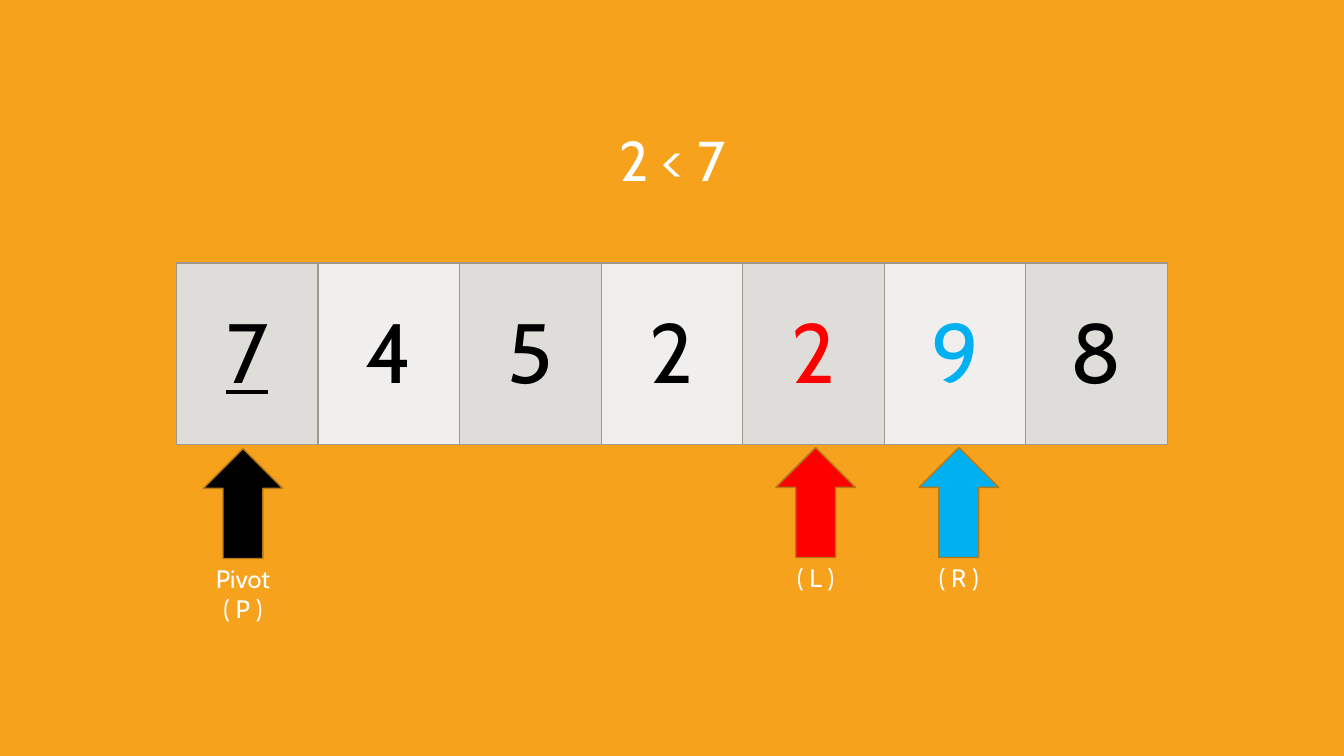
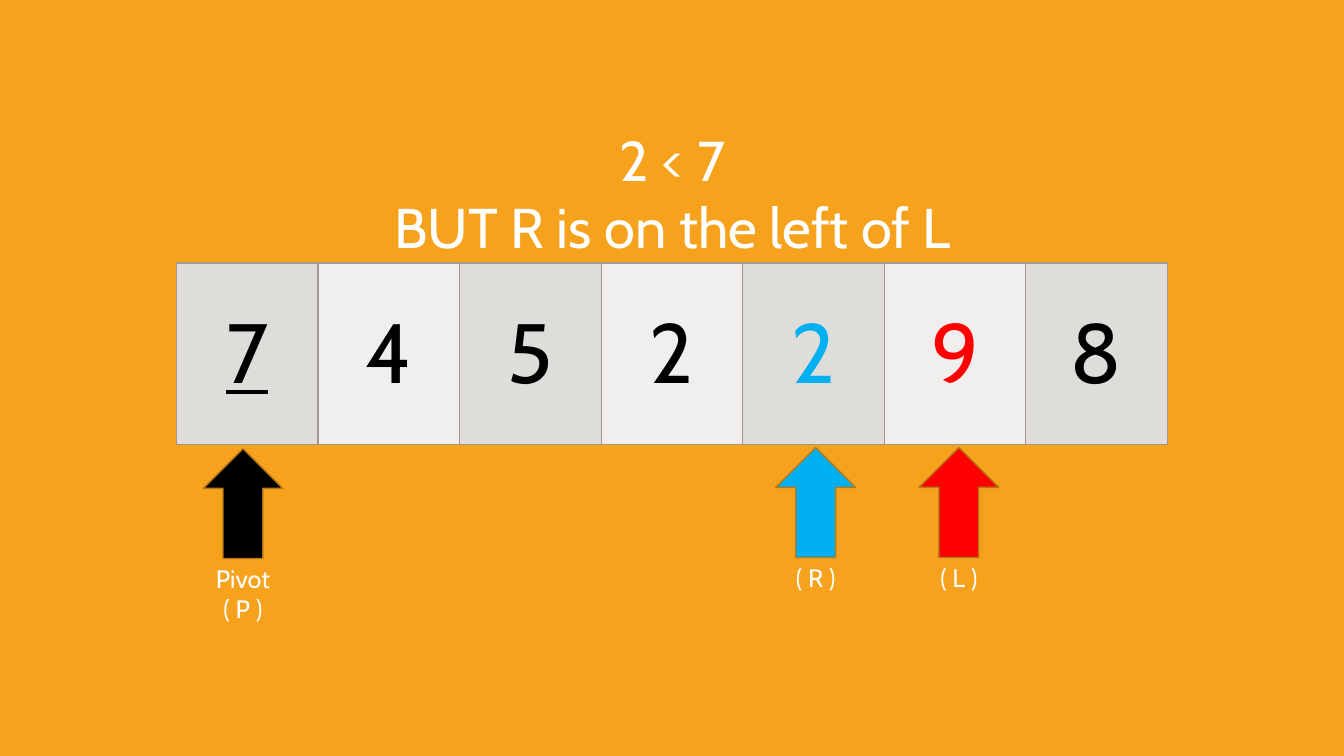
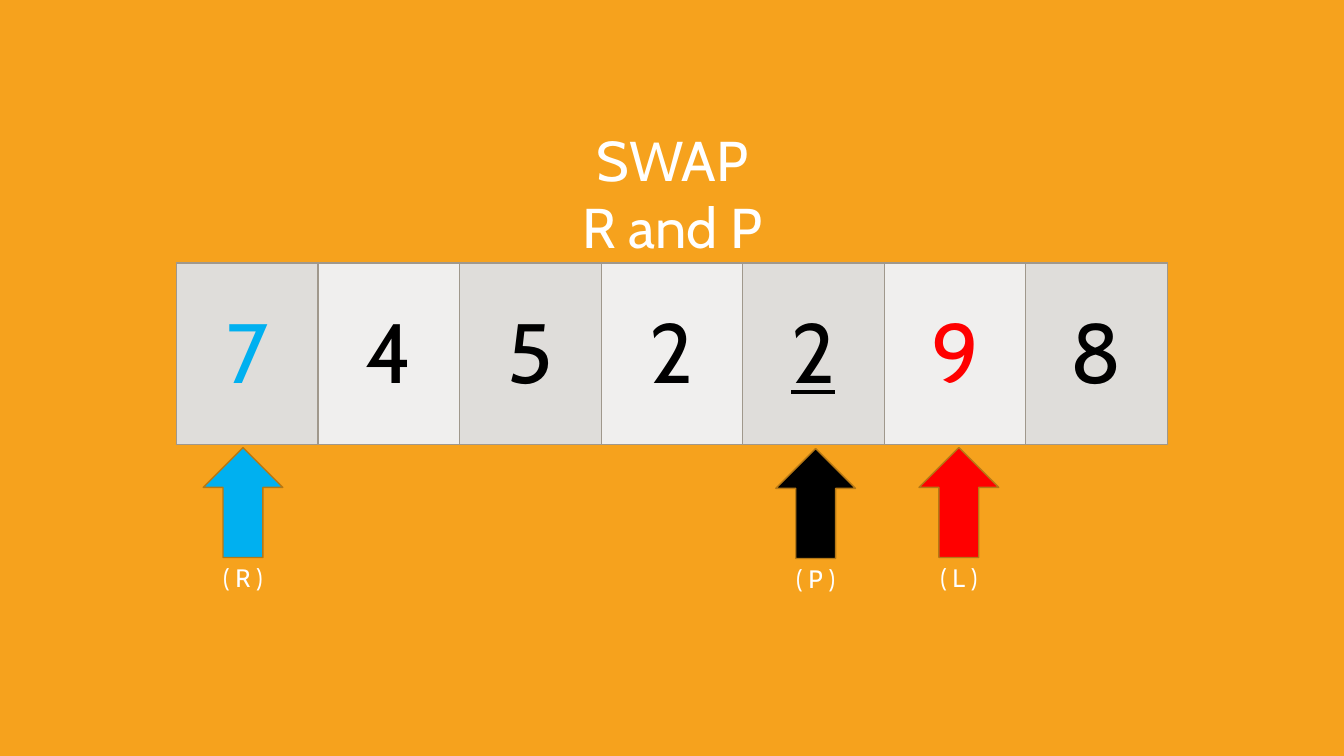
from lxml import etree
from pptx import Presentation
from pptx.dml.color import RGBColor
from pptx.enum.shapes import MSO_SHAPE
from pptx.enum.text import MSO_ANCHOR, MSO_AUTO_SIZE, PP_ALIGN
from pptx.oxml.ns import qn
from pptx.util import Inches, Pt

UP_ARROW = MSO_SHAPE.UP_ARROW
TOP = MSO_ANCHOR.TOP
MIDDLE = MSO_ANCHOR.MIDDLE
FIXED_SIZE = MSO_AUTO_SIZE.NONE
GROW_TO_TEXT = MSO_AUTO_SIZE.SHAPE_TO_FIT_TEXT
CENTER = PP_ALIGN.CENTER

FONT = "Cabin"
ORANGE = "F6A21D"
WHITE = "FFFFFF"
BLACK = "000000"
CELL_FILLS = ("DFDDDA", "F0EFEE")
CELL_BORDER = "A0988C"
ARROW_BORDER = "B67815"
POINTER_COLORS = {"P": BLACK, "L": "FF0000", "R": "00B0F0"}
POINTER_TOPS = {"P": 4.45, "L": 4.44, "R": 4.44}

HEADING_BOX = (2.95, 1.19, 7.44, 1.38)
ARRAY_BOX = (1.75, 2.61, 9.83, 1.8)
FIRST_POINTER_CENTER = 2.41
POINTER_PITCH = 1.42
ARROW_WIDTH, ARROW_HEIGHT = 0.79, 1.09
LABEL_WIDTH = 1.63
LABEL_HEIGHTS = {1: 0.4, 2: 0.71}

VALUES = (7, 4, 5, 2, 2, 9, 8)
STEPS = (
    ("2 < 7", {"L": 4, "P": 0, "R": 5}, "Pivot\n( P )"),
    ("2 < 7\nBUT R is on the left of L", {"L": 5, "P": 0, "R": 4}, "Pivot\n( P )"),
    ("SWAP\nR and P", {"L": 5, "P": 4, "R": 0}, "( P )"),
)


def color(code):
    return RGBColor.from_string(code)


def write(frame, text, size, code, underline=False):
    frame.text = text
    for para in frame.paragraphs:
        para.alignment = CENTER
        para.line_spacing = 1.0
        for span in para.runs:
            span.font.name = FONT
            span.font.size = Pt(size)
            span.font.color.rgb = color(code)
            span.font.underline = underline


def add_heading(slide, box, text):
    title = slide.shapes.title
    title.left, title.top, title.width, title.height = map(Inches, box)
    frame = title.text_frame
    frame.word_wrap = True
    frame.auto_size = FIXED_SIZE
    frame.vertical_anchor = TOP
    write(frame, text, 40, WHITE)


def set_borders(cell, code):
    properties = cell._tc.get_or_add_tcPr()
    for side in ("lnL", "lnR", "lnT", "lnB"):
        line = etree.SubElement(properties, qn(f"a:{side}"), w=str(Pt(1)))
        fill = etree.SubElement(line, qn("a:solidFill"))
        etree.SubElement(fill, qn("a:srgbClr"), val=code)


def add_array(slide, box, pointers):
    pointer_at = {column: name for name, column in pointers.items()}
    table = slide.shapes.add_table(1, len(VALUES), *map(Inches, box)).table
    table.first_row = False
    table.horz_banding = False
    for column, value in enumerate(VALUES):
        cell = table.cell(0, column)
        pointer = pointer_at.get(column)
        set_borders(cell, CELL_BORDER)
        cell.fill.solid()
        cell.fill.fore_color.rgb = color(CELL_FILLS[column % 2])
        cell.vertical_anchor = MIDDLE
        code = POINTER_COLORS.get(pointer, BLACK)
        write(cell.text_frame, str(value), 60, code, pointer == "P")


def add_pointer(slide, center, top, label, code):
    group = slide.shapes.add_group_shape()
    arrow = group.shapes.add_shape(
        UP_ARROW, Inches(center - ARROW_WIDTH / 2), Inches(top),
        Inches(ARROW_WIDTH), Inches(ARROW_HEIGHT))
    arrow.shadow.inherit = False
    arrow.fill.solid()
    arrow.fill.fore_color.rgb = color(code)
    arrow.line.color.rgb = color(ARROW_BORDER)
    arrow.line.width = Pt(1)
    caption = group.shapes.add_textbox(
        Inches(center - LABEL_WIDTH / 2), Inches(top + ARROW_HEIGHT),
        Inches(LABEL_WIDTH), Inches(LABEL_HEIGHTS[len(label.splitlines())]))
    caption.text_frame.word_wrap = True
    caption.text_frame.auto_size = GROW_TO_TEXT
    write(caption.text_frame, label, 18, WHITE)


def add_step(deck, heading, pointers, pivot_label):
    slide = deck.slides.add_slide(deck.slide_layouts.get_by_name("Title Only"))
    add_heading(slide, HEADING_BOX, heading)
    add_array(slide, ARRAY_BOX, pointers)
    for name, column in pointers.items():
        center = FIRST_POINTER_CENTER + column * POINTER_PITCH
        label = pivot_label if name == "P" else f"( {name} )"
        add_pointer(slide, center, POINTER_TOPS[name], label, POINTER_COLORS[name])


deck = Presentation()
deck.slide_width = Inches(13.33)
deck.slide_height = Inches(7.5)
background = deck.slide_master.background.fill
background.solid()
background.fore_color.rgb = color(ORANGE)
for step in STEPS:
    add_step(deck, *step)
deck.save("out.pptx")
